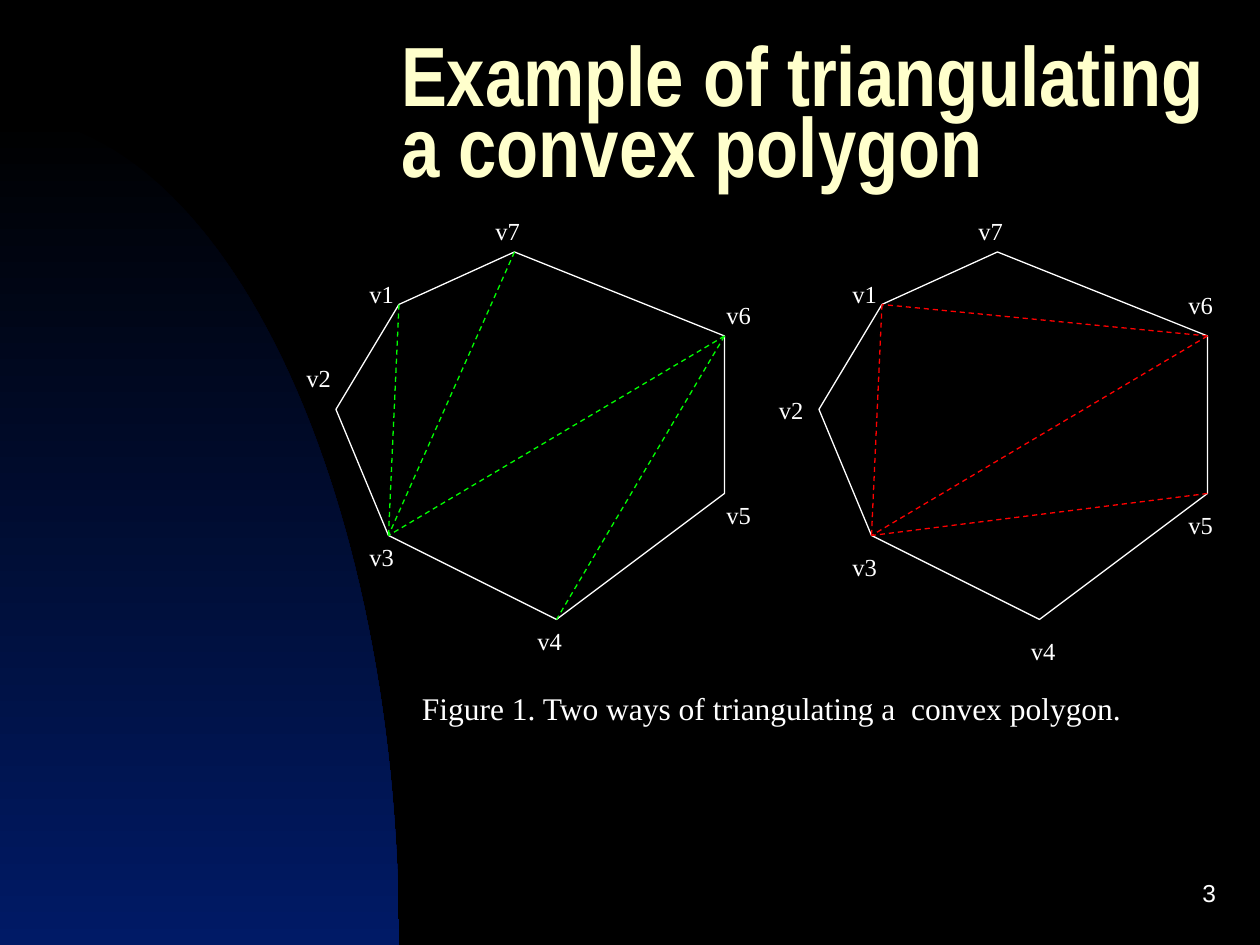
import math

from lxml import etree
from pptx import Presentation
from pptx import util as u
from pptx.dml.color import RGBColor
from pptx.enum import dml, shapes, text
from pptx.oxml.ns import qn

COLORS = {
    "background": "000000",
    "glow": "001A66",
    "title": "FFFFCC",
    "white": "FFFFFF",
    "green": "00FF00",
    "red": "FF0000",
}

TITLE = "Example of triangulating a convex polygon"
CAPTION = "Figure 1. Two ways of triangulating a  convex polygon."
PAGE_NUMBER = "3"

# Corners of the left polygon, in points; the right one is shifted sideways.
VERTICES = {
    "v7": (294, 144),
    "v1": (228, 174),
    "v2": (192, 234),
    "v3": (222, 306),
    "v4": (318, 354),
    "v5": (414, 282),
    "v6": (414, 192),
}
TRIANGULATIONS = [
    {
        "shift": 0,
        "color": "green",
        "diagonals": [("v1", "v3"), ("v7", "v3"), ("v6", "v3"), ("v6", "v4")],
        "labels": {"v1": (204, 156), "v2": (168, 204), "v3": (204, 306), "v4": (300, 354),
                   "v5": (408, 282), "v6": (408, 168), "v7": (276, 120)},
    },
    {
        "shift": 276,
        "color": "red",
        "diagonals": [("v1", "v3"), ("v6", "v1"), ("v5", "v3"), ("v6", "v3")],
        "labels": {"v1": (480, 156), "v2": (438, 222), "v3": (480, 312), "v4": (582, 360),
                   "v5": (672, 288), "v6": (672, 162), "v7": (552, 120)},
    },
]
SLIDE_WIDTH, SLIDE_HEIGHT = 720, 540
GLOW_WIDTH, GLOW_HEIGHT = 228, 474
ARC_STEPS = 60
LABEL_SIZE = (48, 24.5)
LINE_WIDTH = 0.75

FRAME = {
    "margin_left": u.Pt(7.2), "margin_right": u.Pt(7.2),
    "margin_top": u.Pt(3.6), "margin_bottom": u.Pt(3.6),
    "word_wrap": True, "auto_size": text.MSO_AUTO_SIZE.NONE,
}
LABEL_FONT = {"name": "Times New Roman", "size": u.Pt(14), "bold": False}


def rgb(name):
    return RGBColor.from_string(COLORS[name])


def set_all(target, values):
    for name, value in values.items():
        setattr(target, name, value)


def write(box, words, font, color="white", paragraph=None, anchor=text.MSO_ANCHOR.TOP):
    frame = box.text_frame
    set_all(frame, {**FRAME, "vertical_anchor": anchor})
    line = frame.paragraphs[0]
    set_all(line, {"alignment": text.PP_ALIGN.LEFT, **(paragraph or {})})
    run = line.add_run()
    run.text = words
    set_all(run.font, font)
    run.font.color.rgb = rgb(color)


def add_text(slide, place, words, font, **options):
    write(slide.shapes.add_textbox(*map(u.Pt, place)), words, font, **options)


def add_outline(slide, corners):
    """Add a closed freeform through corners given in points."""
    start, *others = [(u.Pt(x), u.Pt(y)) for x, y in corners]
    builder = slide.shapes.build_freeform(*start)
    builder.add_line_segments(others, close=True)
    outline = builder.convert_to_shape()
    outline.shadow.inherit = False
    return outline


def add_glow(slide):
    """Add the quarter ellipse that fades upwards from the lower left corner."""
    angles = [math.pi / 2 * step / ARC_STEPS for step in range(ARC_STEPS + 1)]
    arc = [(GLOW_WIDTH * math.sin(a), SLIDE_HEIGHT - GLOW_HEIGHT * math.cos(a)) for a in angles]
    glow = add_outline(slide, [*arc, (0, SLIDE_HEIGHT)])
    glow.line.fill.background()
    glow.fill.gradient()
    glow.fill.gradient_angle = 270
    for stop, position, color in zip(glow.fill.gradient_stops, (0, 1), ("background", "glow")):
        stop.position = position
        stop.color.rgb = rgb(color)


def add_diagonal(slide, start, end, color):
    diagonal = slide.shapes.add_connector(
        shapes.MSO_CONNECTOR.STRAIGHT, *map(u.Pt, (*start, *end)))
    diagonal.line.color.rgb = rgb(color)
    set_all(diagonal.line, {"width": u.Pt(LINE_WIDTH), "dash_style": dml.MSO_LINE.DASH})
    etree.SubElement(diagonal._element.spPr, qn("a:effectLst"))


def add_triangulation(slide, shift, color, diagonals, labels):
    corners = {name: (x + shift, y) for name, (x, y) in VERTICES.items()}
    polygon = add_outline(slide, corners.values())
    polygon.fill.background()
    polygon.line.color.rgb = rgb("white")
    polygon.line.width = u.Pt(LINE_WIDTH)
    for start, end in diagonals:
        add_diagonal(slide, corners[start], corners[end], color)
    for name, corner in labels.items():
        add_text(slide, (*corner, *LABEL_SIZE), name, LABEL_FONT)


def main():
    deck = Presentation()
    set_all(deck, {"slide_width": u.Pt(SLIDE_WIDTH), "slide_height": u.Pt(SLIDE_HEIGHT)})
    slide = deck.slides.add_slide(deck.slide_layouts[5])
    slide.background.fill.solid()
    slide.background.fill.fore_color.rgb = rgb("background")

    add_glow(slide)
    title = slide.shapes.title
    set_all(title, {"left": u.Pt(222), "top": u.Pt(48), "width": u.Pt(480), "height": u.Pt(42)})
    write(title, TITLE, {"name": "Arial Narrow", "size": u.Pt(48), "bold": True}, color="title",
          paragraph={"line_spacing": 0.7}, anchor=text.MSO_ANCHOR.MIDDLE)
    for triangulation in TRIANGULATIONS:
        add_triangulation(slide, **triangulation)
    add_text(slide, (234, 390, 468, 29), CAPTION, {**LABEL_FONT, "size": u.Pt(18)})
    add_text(slide, (552, 492, 150, 36), PAGE_NUMBER, {**LABEL_FONT, "name": "Arial"},
             paragraph={"alignment": text.PP_ALIGN.RIGHT}, anchor=text.MSO_ANCHOR.MIDDLE)
    deck.save("out.pptx")


if __name__ == "__main__":
    main()
